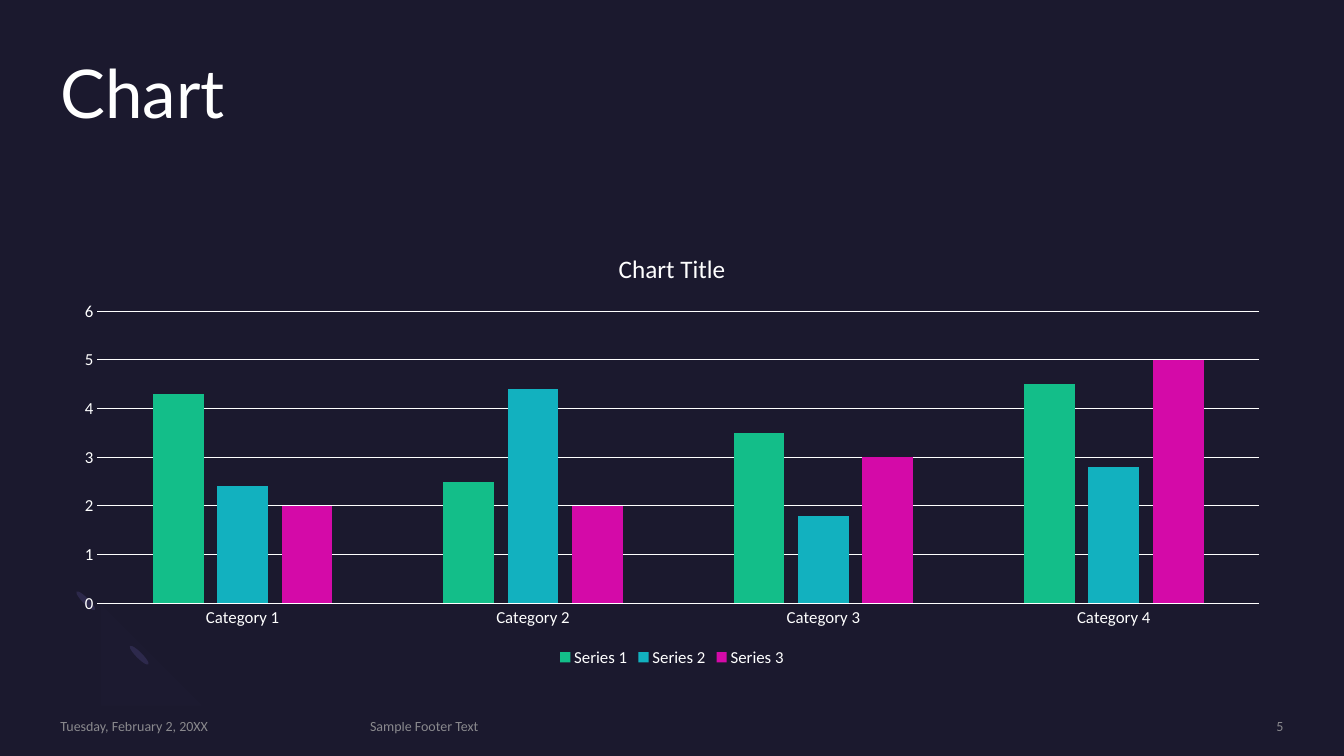
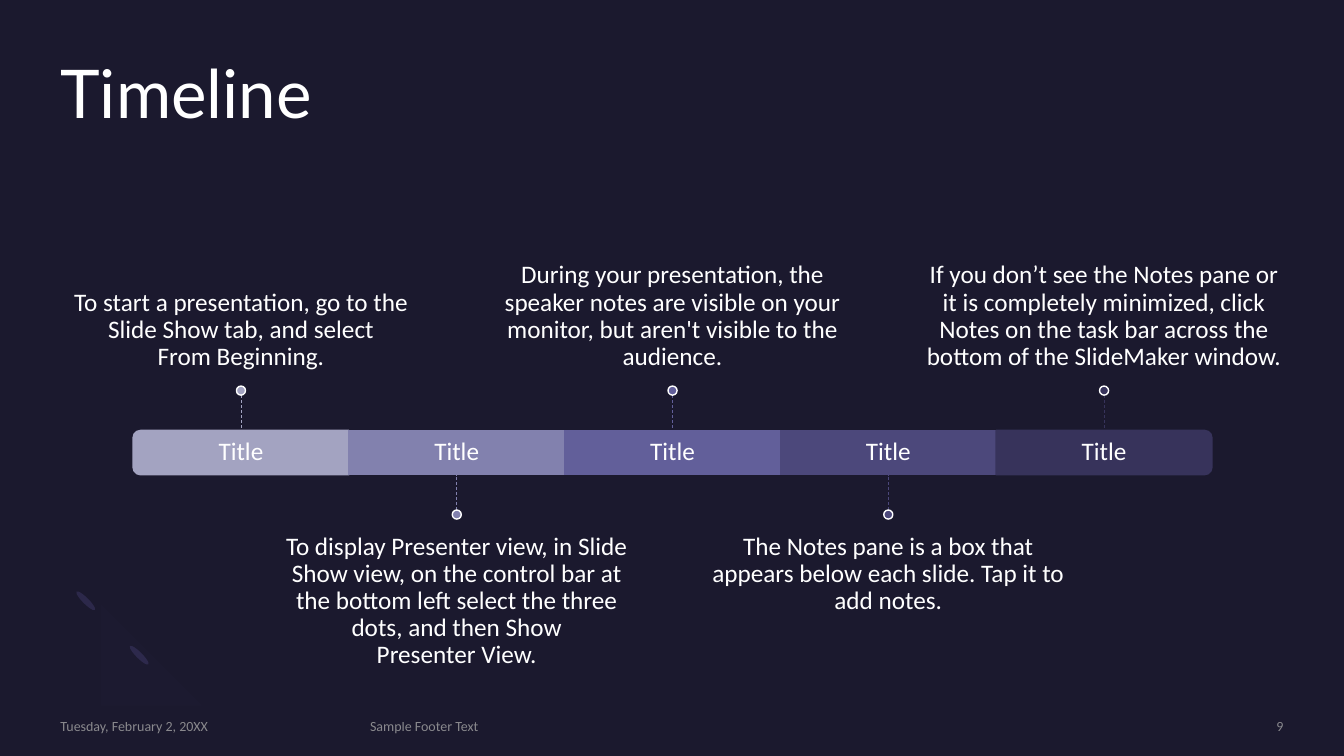
import pptx
import pptx.chart.data
import pptx.dml.color
import pptx.enum.chart
import pptx.enum.dml
import pptx.enum.shapes
import pptx.enum.text
import pptx.oxml
import pptx.util
from pptx.util import Inches

# Content
DATE = "Tuesday, February 2, 20XX"
NOTE = "Sample Footer Text"
CATS = ["Category 1", "Category 2", "Category 3", "Category 4"]
DATA = [
    ("Series 1", "green", (4.3, 2.5, 3.5, 4.5)),
    ("Series 2", "teal", (2.4, 4.4, 1.8, 2.8)),
    ("Series 3", "pink", (2, 2, 3, 5)),
]
STEPS = [
    ("Title", "step1", "To start a presentation, go to the Slide Show tab, "
     "and select\vFrom Beginning."),
    ("Title", "step2", "To display Presenter view, in Slide Show view, on the "
     "control bar at the bottom left select the three dots, and then Show\v"
     "Presenter View."),
    ("Title", "step3", "During your presentation, the speaker notes are "
     "visible on your monitor, but aren't visible to the audience."),
    ("Title", "step4", "The Notes pane is a box that appears below each "
     "slide. Tap it to add notes."),
    ("Title", "step5", "If you don’t see the Notes pane or it is completely "
     "minimized, click Notes on the task bar across the bottom of the "
     "SlideMaker window."),
]

# Look
HEX = {
    "back": "1B192E", "white": "FFFFFF", "grey": "A6A6A6",
    "leaf": "2C284A", "arc": "7771B2",
    "green": "13BE89", "teal": "12B1BF", "pink": "D40AA8",
    "step1": "A3A3C1", "step2": "8281AE", "step3": "625F9A",
    "step4": "4C487B", "step5": "37335B",
}
BODY, HEAD = "Calibri", "Lato"
LEFT, WIDE = 0.6, 12.13
FOOT = {"size": 10, "tint": "grey", "alpha": 80, "anchor": "MIDDLE"}
LEAVES = [(1.35, 6.37), (0.82, 5.83)]
ARC = [(0.76, 6.59),
       [(0.56, 6.39), (0.58, 6.05), (0.81, 5.82)], [(0.99, 6.0)],
       [(0.87, 6.11), (0.86, 6.29), (0.96, 6.38)],
       [(1.06, 6.48), (1.23, 6.47), (1.35, 6.36)], [(1.52, 6.54)],
       [(1.3, 6.76), (0.95, 6.79), (0.76, 6.59)]]

KIND = pptx.enum.shapes.MSO_SHAPE
ALIGN = pptx.enum.text.PP_ALIGN
ANCHOR = pptx.enum.text.MSO_ANCHOR
XL = pptx.enum.chart


def rgb(name):
    return pptx.dml.color.RGBColor.from_string(HEX[name])


def box(x, y, w, h):
    return [Inches(v) for v in (x, y, w, h)]


def put(item, **vals):
    for key, val in vals.items():
        setattr(item, key, val)


def fade(fill, pct):
    """Set the opacity of a solid fill."""
    tone = fill._xPr.find(".//" + pptx.oxml.ns.qn("a:srgbClr"))
    node = pptx.oxml.xmlchemy.OxmlElement("a:alpha")
    node.set("val", str(pct * 1000))
    tone.append(node)


def font(face, size, tint="white", name=BODY):
    put(face, size=pptx.util.Pt(size), name=name, bold=False)
    face.color.rgb = rgb(tint)


def write(shape, text, size, tint="white", name=BODY, align="LEFT",
          anchor="TOP", top=0, base=0, space=None, alpha=None):
    frame = shape.text_frame
    put(frame, text=text, word_wrap=True, vertical_anchor=ANCHOR[anchor],
        auto_size=pptx.enum.text.MSO_AUTO_SIZE.NONE,
        margin_left=0, margin_right=0,
        margin_top=Inches(top), margin_bottom=Inches(base))
    para = frame.paragraphs[0]
    put(para, alignment=ALIGN[align], line_spacing=space)
    for run in para.runs:
        font(run.font, size, tint, name)
        if alpha:
            fade(run.font.fill, alpha)


def label(slide, area, text, **look):
    write(slide.shapes.add_textbox(*box(*area)), text, **look)


def paint(shape, tint, edge=None):
    shape.shadow.inherit = False
    shape.fill.solid()
    shape.fill.fore_color.rgb = rgb(tint)
    if edge:
        shape.line.color.rgb = rgb(edge)
        shape.line.width = pptx.util.Pt(1)
    else:
        shape.line.fill.background()


def curve(start, ctrl, steps=12):
    """Points along a cubic curve."""
    pts = [start] + ctrl
    for i in range(1, steps + 1):
        t = i / steps
        mix = ((1 - t) ** 3, 3 * t * (1 - t) ** 2, 3 * t * t * (1 - t), t ** 3)
        yield tuple(sum(m * p[k] for m, p in zip(mix, pts)) for k in (0, 1))


def decor(slide):
    for x, y in LEAVES:
        leaf = slide.shapes.add_shape(KIND.OVAL, *box(x, y, 0.06, 0.26))
        leaf.rotation = 135
        paint(leaf, "leaf")
    pen, pts = ARC[0], []
    for part in ARC[1:]:
        pts += curve(pen, part) if len(part) == 3 else part
        pen = part[-1]
    form = slide.shapes.build_freeform(*ARC[0], scale=Inches(1))
    form.add_line_segments(pts, close=True)
    arc = form.convert_to_shape()
    paint(arc, "arc")
    fade(arc.fill, 2)


def start(title, num):
    """Add a slide with title, corner decor and footer."""
    slide = prs.slides.add_slide(prs.slide_layouts[5])
    slide.background.fill.solid()
    slide.background.fill.fore_color.rgb = rgb("back")
    decor(slide)
    head = slide.shapes.title
    head.left, head.top, head.width, head.height = box(LEFT, 0.6, WIDE, 1.46)
    write(head, title, 48, name=HEAD, space=0.9)
    for x, w, text, align in [(LEFT, 2.88, DATE, "LEFT"),
                              (3.67, 6.98, NOTE, "LEFT"),
                              (10.88, 1.85, str(num), "RIGHT")]:
        label(slide, (x, 7.12, w, 0.17), text, align=align, **FOOT)
    return slide


prs = pptx.Presentation()
put(prs, slide_width=Inches(13.33), slide_height=Inches(7.5))

# Chart slide
slide = start("Chart", 5)
data = pptx.chart.data.CategoryChartData()
data.categories = CATS
for name, _, vals in DATA:
    data.add_series(name, vals)
chart = slide.shapes.add_chart(XL.XL_CHART_TYPE.COLUMN_CLUSTERED,
                               *box(LEFT, 2.31, WIDE, 4.35), data).chart
font(chart.font, 12)
chart.has_title = True
chart.chart_title.text_frame.text = "Chart Title"
font(chart.chart_title.text_frame.paragraphs[0].runs[0].font, 18)
chart.has_legend = True
put(chart.legend, position=XL.XL_LEGEND_POSITION.BOTTOM,
    include_in_layout=False)
font(chart.legend.font, 12)

plot = chart.plots[0]
put(plot, gap_width=219, overlap=-27, vary_by_categories=False)
for bar, (_, tint, _) in zip(plot.series, DATA):
    bar.format.fill.solid()
    bar.format.fill.fore_color.rgb = rgb(tint)

cat, val = chart.category_axis, chart.value_axis
for axis in (cat, val):
    put(axis, major_tick_mark=XL.XL_TICK_MARK.NONE,
        minor_tick_mark=XL.XL_TICK_MARK.NONE)
    font(axis.tick_labels.font, 12)
put(val, minimum_scale=0, maximum_scale=6, major_unit=1,
    has_major_gridlines=True)
val.format.line.fill.background()
for line in (cat.format.line, val.major_gridlines.format.line):
    line.color.rgb = rgb("white")
    line.width = pptx.util.Pt(0.75)

# Timeline slide
slide = start("Timeline", 9)
SIDE, TOP, STEP, HIGH = 1.32, 4.27, 2.14, 0.44
TEXT, TALL, STEM, DOT = 3.57, 1.52, 0.35, 0.09
for i, (name, tint, text) in enumerate(STEPS):
    x = SIDE + i * STEP
    mid = x + STEP / 2

    # Bar piece: the end pieces are turned so their round corners face out
    turn = {0: 270, len(STEPS) - 1: 90}.get(i)
    if turn:
        area = (mid - HIGH / 2, TOP + (HIGH - STEP) / 2, HIGH, STEP)
        piece = slide.shapes.add_shape(KIND.ROUND_2_SAME_RECTANGLE, *box(*area))
        piece.rotation = turn
    else:
        piece = slide.shapes.add_shape(KIND.RECTANGLE, *box(x, TOP, STEP, HIGH))
    paint(piece, tint, tint)
    label(slide, (x, TOP, STEP, HIGH), name, size=18, align="CENTER",
          anchor="MIDDLE", space=0.9)

    # Text, stem and dot: above the bar for even steps, below for odd ones
    if i % 2 == 0:
        near, far = TOP, TOP - STEM
        dot, y = far - DOT, 2.31
        look = {"anchor": "BOTTOM", "base": 0.15}
    else:
        near, far = TOP + HIGH, TOP + HIGH + STEM
        dot, y = far, 5.14
        look = {"anchor": "TOP", "top": 0.15}
    label(slide, (mid - TEXT / 2, y, TEXT, TALL), text, size=18,
          align="CENTER", space=0.9, **look)
    stem = slide.shapes.add_connector(
        pptx.enum.shapes.MSO_CONNECTOR.STRAIGHT, *box(mid, far, mid, near))
    stem.line.color.rgb = rgb(tint)
    put(stem.line, width=pptx.util.Pt(0.5),
        dash_style=pptx.enum.dml.MSO_LINE.DASH)
    stem._element.spPr.append(pptx.oxml.xmlchemy.OxmlElement("a:effectLst"))
    knob = slide.shapes.add_shape(KIND.OVAL, *box(mid - DOT / 2, dot, DOT, DOT))
    paint(knob, tint, "white")

prs.save("out.pptx")
